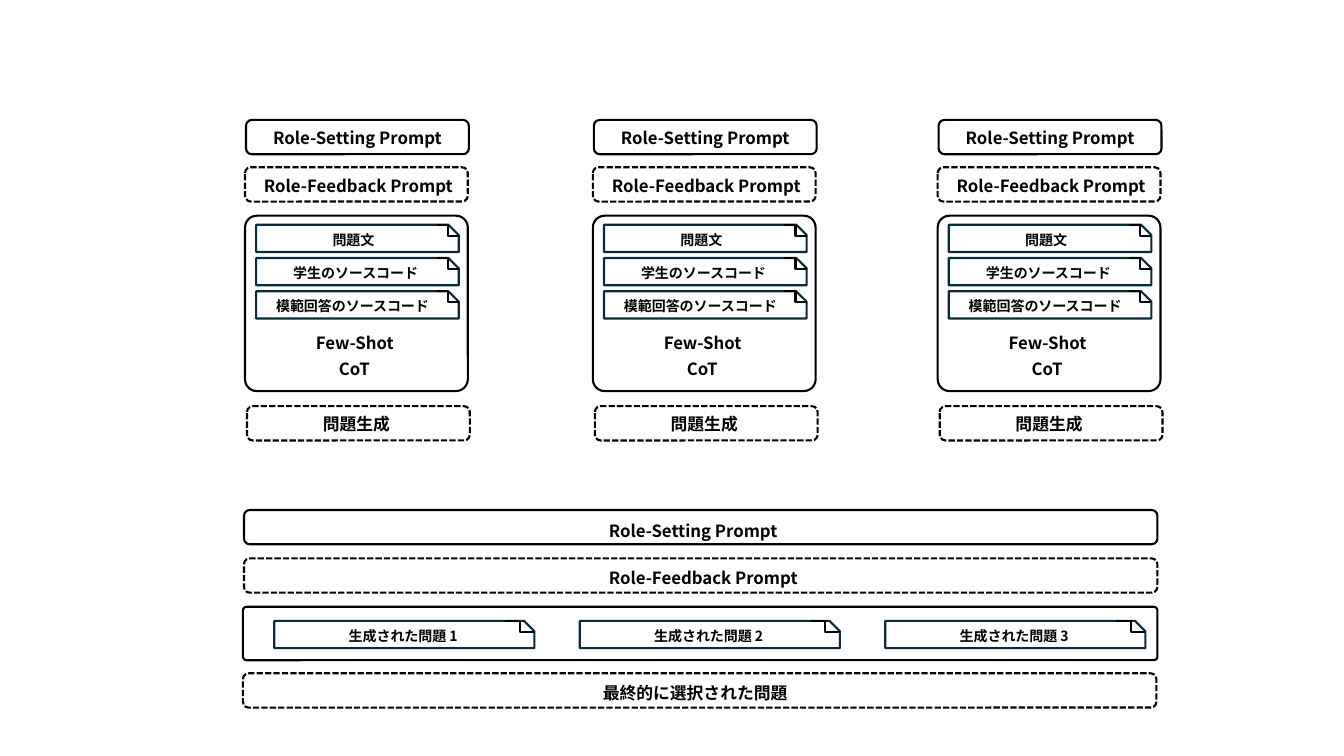
from pptx import Presentation
from pptx.dml.color import RGBColor
from pptx.enum.dml import MSO_LINE
from pptx.enum.shapes import MSO_CONNECTOR, MSO_SHAPE
from pptx.enum.text import PP_ALIGN
from pptx.oxml.ns import qn
from pptx.util import Inches, Pt

ROUND, SNIP = MSO_SHAPE.ROUNDED_RECTANGLE, MSO_SHAPE.SNIP_1_RECTANGLE
ELBOW, DASH = MSO_CONNECTOR.ELBOW, MSO_LINE.SQUARE_DOT
CENTER, LEFT = PP_ALIGN.CENTER, PP_ALIGN.LEFT
FONT = "Noto Sans CJK JP"
BLACK, WHITE, NAVY = "000000", "FFFFFF", "092A39"
ROW_H, DOC_H, FOLD_H = 0.34, 0.27, 0.11
DOCS = [("問題文", 0.66, 0.63),
        ("学生のソースコード", 0.27, 1.46),
        ("模範回答のソースコード", 0.10, 1.74)]


def color(value):
    return RGBColor.from_string(value)


def outline(s, value, dash=None):
    style = {"width": Pt(1.5), "dash_style": dash}
    for name, setting in style.items():
        setattr(s.line, name, setting)
    s.line.color.rgb = color(value)


def add_frame(shapes, x, y, w, h, dash=None, corner=0.167):
    s = shapes.add_shape(ROUND, Inches(x), Inches(y), Inches(w), Inches(h))
    s.adjustments[0] = corner
    s.shadow.inherit = False
    s.fill.solid()
    s.fill.fore_color.rgb = color(WHITE)
    outline(s, BLACK, dash)


def add_label(shapes, text, x, y, w, h=0.3, size=12, align=CENTER):
    s = shapes.add_textbox(Inches(x), Inches(y), Inches(w), Inches(h))
    tf = s.text_frame
    tf.word_wrap = align == CENTER
    p = tf.paragraphs[0]
    p.alignment = align
    r = p.add_run()
    r.text = text
    for name, setting in {"size": Pt(size), "bold": True, "name": FONT}.items():
        setattr(r.font, name, setting)
    r.font.color.rgb = color(BLACK)
    ea = r.font._element.makeelement(qn("a:ea"), {"typeface": FONT})
    r.font._element.append(ea)


def add_document(shapes, text, x, y, w, fold_w, text_x, text_w):
    s = shapes.add_shape(SNIP, Inches(x), Inches(y), Inches(w), Inches(DOC_H))
    s.adjustments[0] = 0.38
    s.shadow.inherit = False
    s.fill.background()
    outline(s, NAVY)
    add_label(shapes, text, x + text_x, y + 0.015, text_w, DOC_H, 10, LEFT)
    fold = shapes.add_connector(ELBOW, Inches(x + w - fold_w), Inches(y),
                                Inches(x + w), Inches(y + FOLD_H))
    outline(fold, BLACK)
    sp_pr = fold._element.spPr
    sp_pr.append(sp_pr.makeelement(qn("a:effectLst"), {}))


def add_generator(slide, x, y):
    shapes = slide.shapes.add_group_shape().shapes
    w = 2.21
    add_frame(shapes, x + 0.01, y, w, ROW_H)
    add_label(shapes, "Role-Setting Prompt", x + 0.02, y + 0.03, 2.19)
    add_frame(shapes, x, y + 0.47, w, ROW_H, DASH)
    add_label(shapes, "Role-Feedback Prompt", x + 0.02, y + 0.5, w)
    add_frame(shapes, x, y + 0.95, w, 1.74, corner=0.067)
    add_label(shapes, "Few-Shot", x + 0.37, y + 2.06, 1.44)
    add_label(shapes, "CoT", x + 0.14, y + 2.32, 1.89)
    for i, (text, text_x, text_w) in enumerate(DOCS):
        add_document(shapes, text, x + 0.11, y + 1.04 + 0.33 * i,
                     2.01, 0.22, text_x, text_w)
    add_frame(shapes, x + 0.02, y + 2.84, w, ROW_H, DASH)
    add_label(shapes, "問題生成", x + 0.02, y + 2.87, 2.17)


def add_selector(slide, x, y):
    shapes = slide.shapes.add_group_shape().shapes
    w = 9.06
    add_frame(shapes, x + 0.01, y, w, ROW_H)
    add_label(shapes, "Role-Setting Prompt", x + 3.36, y + 0.06, 2.21)
    add_frame(shapes, x + 0.01, y + 0.48, w, ROW_H, DASH)
    add_label(shapes, "Role-Feedback Prompt", x + 3.46, y + 0.52, 2.21)
    add_frame(shapes, x, y + 0.96, 9.07, 0.53, corner=0.067)
    for i in range(3):
        add_document(shapes, f"生成された問題 {i + 1}", x + 0.31 + 3.03 * i,
                     y + 1.1, 2.58, 0.29, 0.64, 1.7)
    add_frame(slide.shapes, x, y + 1.62, w, ROW_H, DASH)
    add_label(slide.shapes, "最終的に選択された問題", x + 3.38, y + 1.66, 2.21)


def main():
    prs = Presentation()
    prs.slide_width, prs.slide_height = Inches(13.33), Inches(7.5)
    slide = prs.slides.add_slide(prs.slide_layouts[6])
    for x in (2.43, 5.88, 9.3):
        add_generator(slide, x, 1.19)
    add_selector(slide, 2.41, 5.06)
    prs.save("out.pptx")


if __name__ == "__main__":
    main()
